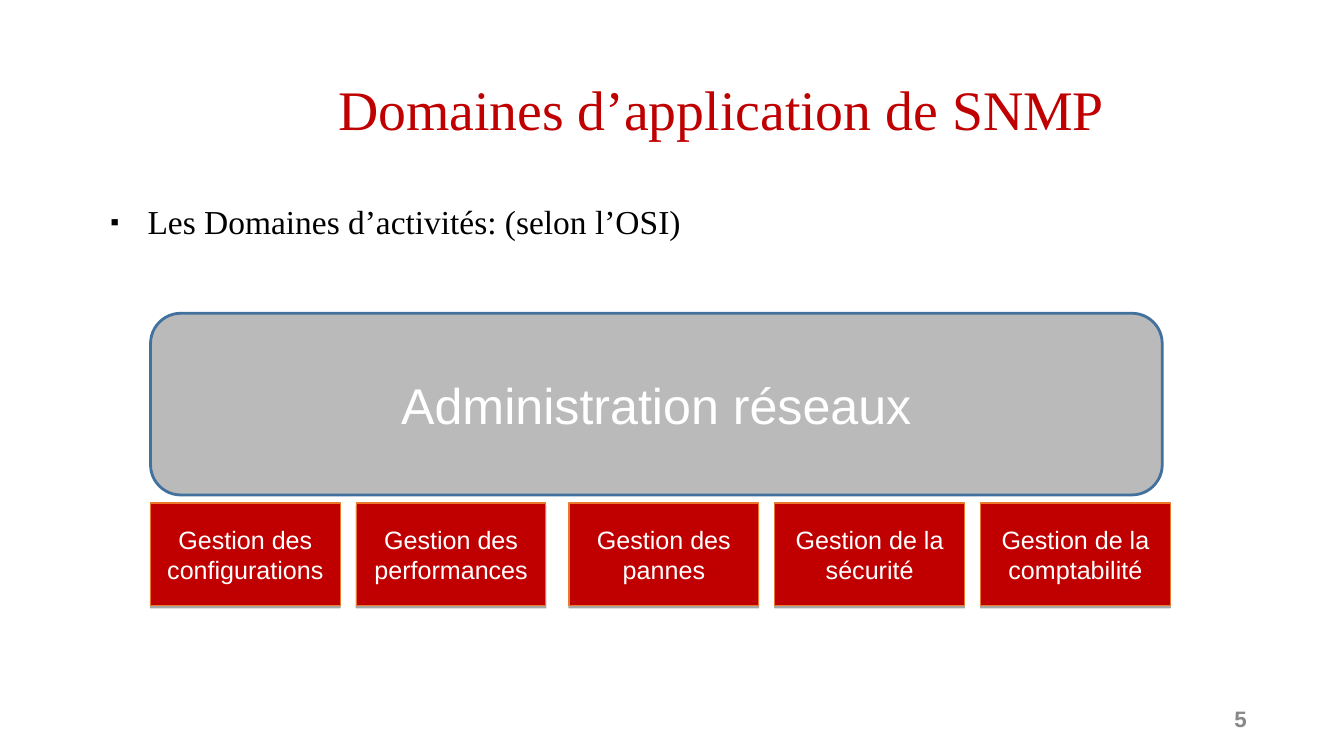
"""Build the slide on the fields where SNMP applies."""
from dataclasses import dataclass

from lxml.etree import SubElement
from pptx import Presentation
from pptx.dml.color import RGBColor as RGB
from pptx.enum.shapes import MSO_SHAPE as Form
from pptx.enum.text import MSO_ANCHOR as Anchor, PP_ALIGN as Align
from pptx.oxml.ns import qn
from pptx.shapes.autoshape import Shape
from pptx.slide import Slide
from pptx.util import Inches, Pt


@dataclass(frozen=True)
class Theme:
    """Colours, fonts and type sizes."""
    red: str = "C00000"
    grey: str = "BABABA"
    blue: str = "41719C"
    orange: str = "EC792B"
    black: str = "000000"
    white: str = "FFFFFF"
    faint: str = "888888"
    serif: str = "Times New Roman"
    sans: str = "Arial"
    head: int = 40
    main: int = 36
    body: int = 24
    label: int = 18
    page: int = 16


@dataclass(frozen=True)
class Area:
    """A frame in percent of the slide's width and height."""
    left: float
    top: float
    width: float
    height: float

    def emu(self) -> tuple[int, int, int, int]:
        """Return the frame in slide units."""
        return (int(WIDE * self.left / 100), int(HIGH * self.top / 100),
                int(WIDE * self.width / 100), int(HIGH * self.height / 100))


@dataclass(frozen=True)
class Style:
    """The look of a text."""
    font: str
    size: int
    ink: str
    align: Align = Align.CENTER
    anchor: Anchor = Anchor.MIDDLE
    bold: bool = False
    side: float = 0.1
    space: float = 1.0


@dataclass(frozen=True)
class Block:
    """A filled shape with its text."""
    text: str
    form: Form
    area: Area
    fill: str
    edge: str
    line: float
    style: Style
    shade: bool = False


WIDE, HIGH = Inches(13.39), Inches(7.5)
LOOK = Theme()
TITLE = Style(LOOK.serif, LOOK.head, LOOK.red, side=0.05, space=0.9)
BODY = Style(LOOK.serif, LOOK.body, LOOK.black, Align.LEFT, Anchor.TOP,
             side=0.05, space=0.9)
PAGE = Style(LOOK.sans, LOOK.page, LOOK.faint, Align.RIGHT, bold=True, side=0.05)
MAIN = Style(LOOK.sans, LOOK.main, LOOK.white)
LABEL = Style(LOOK.sans, LOOK.label, LOOK.white)
LEFT, STEP, SHIFT = 11.2, 15.31, 0.52
FIELDS = ("Gestion des configurations", "Gestion des performances",
          "Gestion des pannes", "Gestion de la sécurité",
          "Gestion de la comptabilité")


def write(shape: Shape, text: str, style: Style) -> None:
    """Put one styled run in a shape."""
    frame = shape.text_frame
    frame.word_wrap = True
    frame.vertical_anchor = style.anchor
    frame.margin_left = frame.margin_right = Inches(style.side)
    frame.margin_top = frame.margin_bottom = Inches(0.05)
    para = frame.paragraphs[0]
    para.alignment = style.align
    para.line_spacing = style.space
    para.space_before = Pt(0)
    run = para.add_run()
    run.text = text
    run.font.name = style.font
    run.font.size = Pt(style.size)
    run.font.bold = style.bold
    run.font.color.rgb = RGB.from_string(style.ink)


def place(shape: Shape, area: Area) -> None:
    """Move a shape to its area."""
    shape.left, shape.top, shape.width, shape.height = area.emu()


def mark(shape: Shape) -> None:
    """Give the first paragraph a small square bullet."""
    props = shape.text_frame.paragraphs[0]._p.get_or_add_pPr()
    props.set("marL", str(Inches(0.5)))
    props.set("indent", str(Inches(-0.37)))
    tint = SubElement(props, qn("a:buClr"))
    SubElement(tint, qn("a:srgbClr"), val=LOOK.black)
    SubElement(props, qn("a:buSzPct"), val="75000")
    SubElement(props, qn("a:buFont"), typeface=LOOK.sans)
    SubElement(props, qn("a:buChar"), char="▪")


def shade(shape: Shape) -> None:
    """Add a thin shadow below a shape."""
    list_ = shape._element.spPr.find(qn("a:effectLst"))
    drop = SubElement(list_, qn("a:outerShdw"), blurRad="0",
                      dist=str(Pt(1.8)), dir="5400000", rotWithShape="0")
    tint = SubElement(drop, qn("a:srgbClr"), val=LOOK.black)
    SubElement(tint, qn("a:alpha"), val="35000")


def draw(slide: Slide, block: Block) -> None:
    """Draw a block."""
    shape = slide.shapes.add_shape(block.form, *block.area.emu())
    shape.shadow.inherit = False
    shape.fill.solid()
    shape.fill.fore_color.rgb = RGB.from_string(block.fill)
    shape.line.color.rgb = RGB.from_string(block.edge)
    shape.line.width = Pt(block.line)
    if block.shade:
        shade(shape)
    write(shape, block.text, block.style)


def main() -> None:
    """Build and save the slide."""
    deck = Presentation()
    deck.slide_width, deck.slide_height = WIDE, HIGH
    slide = deck.slides.add_slide(deck.slide_layouts[1])

    title, body = slide.shapes.title, slide.placeholders[1]
    place(title, Area(10.53, 5.33, 86.26, 19.33))
    write(title, "Domaines d’application de SNMP", TITLE)
    place(body, Area(6.87, 26.67, 86.26, 63.47))
    write(body, "Les Domaines d’activités: (selon l’OSI)", BODY)
    mark(body)

    page = slide.shapes.add_textbox(*Area(90.22, 92.93, 2.91, 4.93).emu())
    write(page, "5", PAGE)

    draw(slide, Block("Administration réseaux", Form.ROUNDED_RECTANGLE,
                      Area(LEFT, 41.6, 75.28, 24.13), LOOK.grey, LOOK.blue,
                      2, MAIN))
    for i, field in enumerate(FIELDS):
        left = LEFT + i * STEP + (SHIFT if i >= 2 else 0)
        draw(slide, Block(field, Form.RECTANGLE, Area(left, 66.8, 14.12, 13.6),
                          LOOK.red, LOOK.orange, 0.75, LABEL, shade=True))
    deck.save("out.pptx")


if __name__ == "__main__":
    main()
